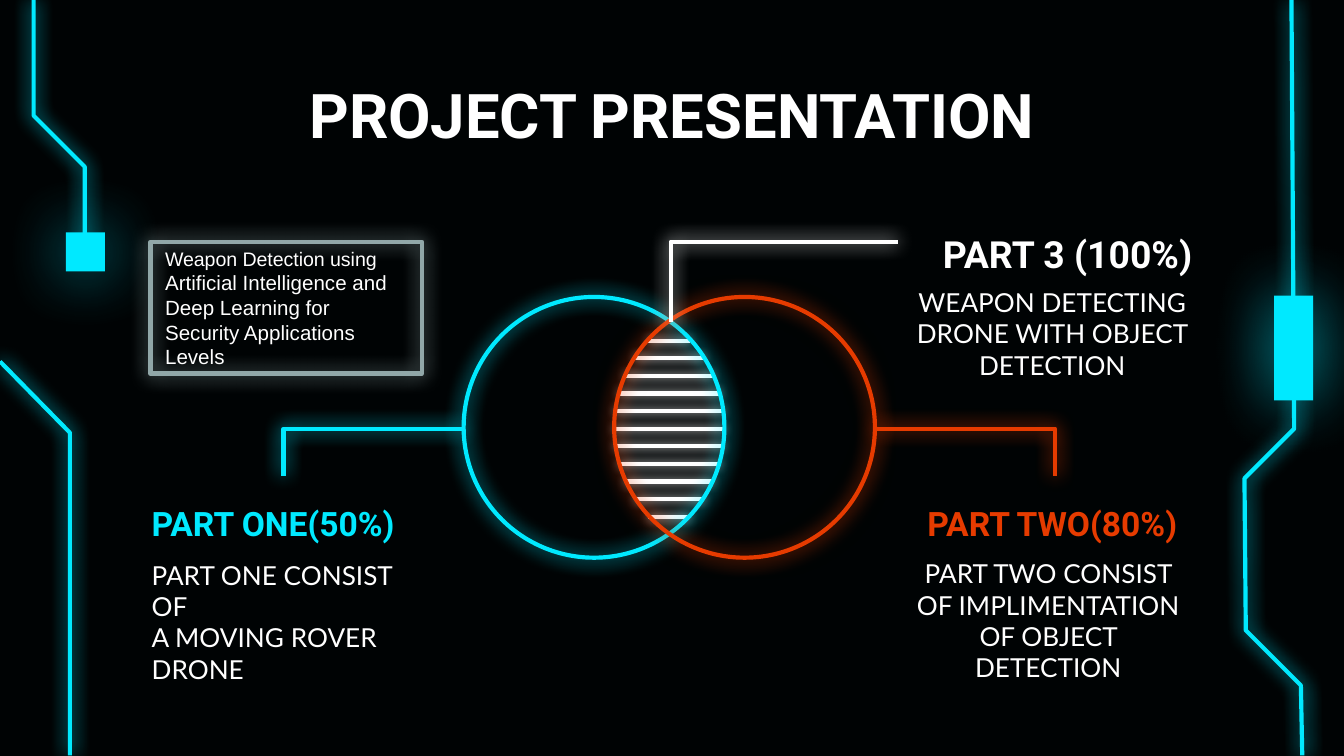
import math

import lxml.etree
import pptx
import pptx.dml.color
import pptx.enum.shapes
import pptx.enum.text
import pptx.oxml.ns
import pptx.util

Inches = pptx.util.Inches
Pt = pptx.util.Pt
RGB = pptx.dml.color.RGBColor
ALIGN = pptx.enum.text.PP_ALIGN
ANCHOR = pptx.enum.text.MSO_ANCHOR
KIND = pptx.enum.shapes.MSO_SHAPE
LINK = pptx.enum.shapes.MSO_CONNECTOR
qn = pptx.oxml.ns.qn

BLACK = RGB(0x00, 0x03, 0x04)
WHITE = RGB(0xFF, 0xFF, 0xFF)
CYAN = RGB(0x00, 0xE9, 0xFF)
RED = RGB(0xE6, 0x3B, 0x00)
GREY = RGB(0x91, 0xA7, 0xA8)

TITLE = {"name": "Roboto", "size": Pt(33), "bold": True}
HEAD = {"name": "Roboto", "size": Pt(18), "bold": True}
BODY = {"name": "Lato", "size": Pt(14), "bold": False}
NOTE = {"name": "Arial", "size": Pt(11), "bold": False}


def apply(item, values):
    for key, value in values.items():
        setattr(item, key, value)


def add_glow(shape, color, blur=10.1, alpha=100):
    effects = lxml.etree.SubElement(shape._element.spPr, qn("a:effectLst"))
    shadow = lxml.etree.SubElement(
        effects, qn("a:outerShdw"), blurRad=str(int(Pt(blur))),
        dist="0", dir="0", algn="bl", rotWithShape="0")
    tone = lxml.etree.SubElement(shadow, qn("a:srgbClr"), val=str(color))
    lxml.etree.SubElement(tone, qn("a:alpha"), val=str(alpha * 1000))


def set_line(shape, color, blur=10.1):
    shape.line.color.rgb = color
    shape.line.width = Pt(2.25)
    add_glow(shape, color, blur)


def add_ring(slide, kind, box, color):
    shape = slide.shapes.add_shape(kind, *map(Inches, box))
    shape.fill.background()
    set_line(shape, color)


def add_block(slide, box):
    shape = slide.shapes.add_shape(KIND.RECTANGLE, *map(Inches, box))
    shape.fill.solid()
    shape.fill.fore_color.rgb = CYAN
    shape.line.fill.background()
    add_glow(shape, CYAN, 36, 70)


def add_trace(slide, points):
    spots = [(Inches(x), Inches(y)) for x, y in points]
    path = slide.shapes.build_freeform(*spots[0])
    path.add_line_segments(spots[1:], close=False)
    shape = path.convert_to_shape()
    shape.fill.background()
    set_line(shape, CYAN)


def add_link(slide, start, end, color, kind=LINK.STRAIGHT, blur=10.1):
    link = slide.shapes.add_connector(kind, *map(Inches, start + end))
    if kind == LINK.ELBOW:
        shape = link._element.spPr.find(qn("a:prstGeom"))
        guides = shape.find(qn("a:avLst"))
        if guides is None:
            guides = lxml.etree.SubElement(shape, qn("a:avLst"))
        lxml.etree.SubElement(guides, qn("a:gd"), name="adj1", fmla="val 100000")
    set_line(link, color, blur)


def add_text(slide, box, lines, font, color=WHITE, align=ALIGN.CENTER,
             anchor=ANCHOR.TOP, top=0):
    frame = slide.shapes.add_textbox(*map(Inches, box)).text_frame
    apply(frame, {
        "word_wrap": True, "vertical_anchor": anchor,
        "margin_left": Inches(0.1), "margin_right": Inches(0.1),
        "margin_top": Inches(top), "margin_bottom": Inches(0.1)})
    for i, line in enumerate(lines):
        para = frame.add_paragraph() if i else frame.paragraphs[0]
        para.alignment = align
        for j, part in enumerate(line.split("\n")):
            if j:
                para.add_line_break()
            run = para.add_run()
            run.text = part
            apply(run.font, font)
            run.font.color.rgb = color
    return frame


def add_frame(slide):
    add_trace(slide, [(9.61, 0), (9.63, 3.19), (9.26, 3.56), (9.27, 4.69),
                      (9.68, 5.1), (9.69, 5.62)])
    add_block(slide, (9.48, 2.2, 0.29, 0.78))
    add_trace(slide, [(0.25, 0), (0.25, 0.86), (0.63, 1.24), (0.63, 1.85)])
    add_block(slide, (0.49, 1.73, 0.29, 0.29))
    add_trace(slide, [(0, 2.69), (0.52, 3.22), (0.52, 5.62)])


def add_venn(slide):
    mid_x, mid_y, radius, shift = 4.98, 3.19, 0.97, 0.56
    step = 1.31 / 10
    for i in range(-5, 6):
        y = mid_y + i * step
        half = math.sqrt(radius ** 2 - (y - mid_y) ** 2) - shift
        add_link(slide, (mid_x - half, y), (mid_x + half, y), WHITE, blur=5.6)
    for side, color in ((-1, CYAN), (1, RED)):
        left = mid_x + side * shift - radius
        add_ring(slide, KIND.OVAL, (left, 2.21, 2 * radius, 2 * radius), color)
        edge = mid_x + side * (shift + radius)
        add_link(slide, (edge, mid_y), (edge + side * 1.34, 3.54), color, LINK.ELBOW)
    add_link(slide, (6.68, 1.8), (4.99, 2.4), WHITE, LINK.ELBOW)


def add_words(slide):
    add_text(slide, (0.78, 0.59, 8.44, 0.52), ["PROJECT PRESENTATION"], TITLE,
             anchor=ANCHOR.MIDDLE, top=0.1)
    add_text(slide, (1.03, 3.74, 2.59, 0.42), ["PART ONE(50%)"], HEAD, CYAN, ALIGN.LEFT)
    add_text(slide, (1.03, 4.16, 2.28, 0.86),
             ["PART ONE CONSIST OF", "A MOVING ROVER DRONE"], BODY, align=ALIGN.LEFT)
    add_text(slide, (6.69, 3.74, 2.28, 0.42), ["PART TWO(80%)"], HEAD, RED)
    add_text(slide, (6.66, 4.15, 2.28, 0.86),
             ["PART TWO CONSIST OF IMPLIMENTATION OF OBJECT DETECTION"], BODY)
    add_text(slide, (6.69, 1.72, 2.28, 0.42), ["PART 3 (100%)"],
             HEAD | {"size": Pt(20)}, align=ALIGN.RIGHT)
    add_text(slide, (6.69, 2.13, 2.28, 0.86),
             ["WEAPON DETECTING DRONE WITH OBJECT DETECTION"], BODY)
    add_ring(slide, KIND.RECTANGLE, (1.12, 1.8, 2.02, 0.98), GREY)
    note = add_text(
        slide, (1.13, 1.8, 2.02, 0.98),
        ["Weapon Detection using \nArtificial Intelligence and Deep Learning "
         "for Security Applications Levels"],
        NOTE, align=ALIGN.LEFT, anchor=ANCHOR.MIDDLE, top=0.1)
    note.paragraphs[0].runs[0].font.size = Pt(10.5)


def main():
    deck = pptx.Presentation()
    width = Inches(10)
    apply(deck, {"slide_width": width, "slide_height": width * 9 // 16})
    slide = deck.slides.add_slide(deck.slide_layouts[6])
    slide.background.fill.solid()
    slide.background.fill.fore_color.rgb = BLACK
    add_frame(slide)
    add_words(slide)
    add_venn(slide)
    deck.save("out.pptx")


if __name__ == "__main__":
    main()
